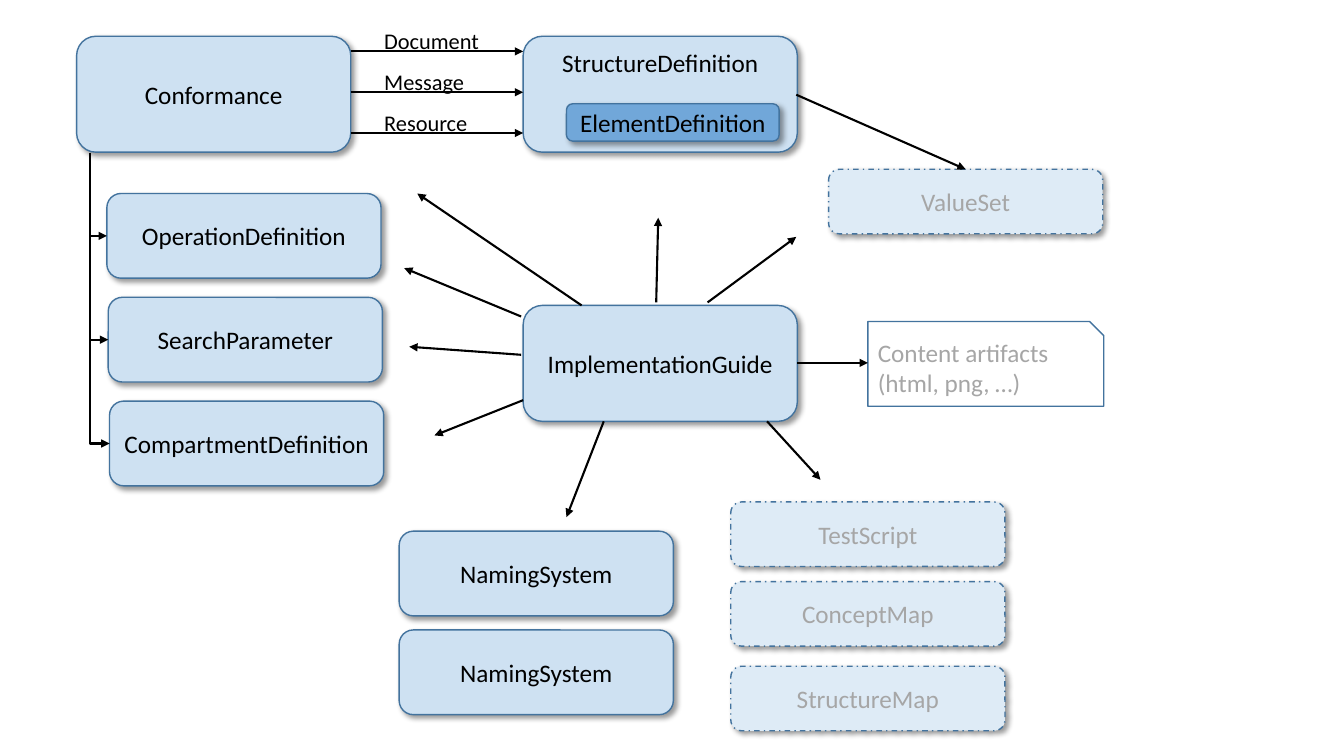
from dataclasses import dataclass

from lxml.etree import SubElement
from pptx import Presentation
from pptx.dml.color import RGBColor
from pptx.enum.dml import MSO_LINE
from pptx.enum.shapes import MSO_CONNECTOR as LINK, MSO_SHAPE as SHAPE
from pptx.enum.text import MSO_ANCHOR as ANCHOR, PP_ALIGN as ALIGN
from pptx.oxml.ns import qn
from pptx.util import Inches, Pt

COLUMNS, ROWS = 40, 30
SLIDE_W, SLIDE_H = Inches(13.33), Inches(7.5)
FONT = "Calibri"
INK, MUTED, EDGE = "000000", "A6A6A6", "43739E"
CORE, NESTED, EXTERNAL = "CEE1F2", "71A7D9", "DEEBF6"
CARD_W, CARD_H, HUB_H, EXTERNAL_H = 8.16, 3.36, 4.6, 2.56


@dataclass
class Box:
    """An area measured in grid columns and rows."""
    left: float
    top: float
    width: float
    height: float

    def inner(self, x, y, width, height):
        """Return a box offset from this one's top left corner."""
        return Box(self.left + x, self.top + y, width, height)

    def point(self, x, y):
        """Return the grid point offset from the top left corner."""
        return self.left + x, self.top + y

    def emu(self):
        """Return the box in slide units."""
        return (*to_emu(self.left, self.top), *to_emu(self.width, self.height))


def to_emu(x, y):
    """Turn columns and rows into slide units."""
    return round(x * SLIDE_W / COLUMNS), round(y * SLIDE_H / ROWS)


def color(hex_code):
    """Turn a hex string into a colour."""
    return RGBColor.from_string(hex_code)


def write(frame, lines, size, ink, align):
    """Fill a text frame with one paragraph per line."""
    frame.text = "\n".join(lines)
    for paragraph in frame.paragraphs:
        paragraph.alignment = align
        paragraph.font.name, paragraph.font.size = FONT, Pt(size)
        paragraph.font.color.rgb = color(ink)


def cast_shadow(shape):
    """Give a shape a soft shadow to the lower right."""
    effects = shape.element.spPr.find(qn("a:effectLst"))
    shadow = SubElement(effects, qn("a:outerShdw"), blurRad=str(Pt(4)), dist=str(Pt(3)),
                        dir=str(45 * 60000), algn="tl", rotWithShape="0")
    tint = SubElement(shadow, qn("a:srgbClr"), val=INK)
    SubElement(tint, qn("a:alpha"), val="40000")


def outlined(slide, box, kind):
    """Add a shape with the common outline and no theme shadow."""
    shape = slide.shapes.add_shape(kind, *box.emu())
    shape.shadow.inherit = False
    shape.line.color.rgb, shape.line.width = color(EDGE), Pt(1)
    return shape


def card(slide, box, name, fill=CORE, anchor=ANCHOR.MIDDLE):
    """Draw a resource card; external ones are muted and dashed."""
    shape = outlined(slide, box, SHAPE.ROUNDED_RECTANGLE)
    shape.fill.solid()
    shape.fill.fore_color.rgb = color(fill)
    if fill == EXTERNAL:
        shape.line.dash_style = MSO_LINE.DASH_DOT
    cast_shadow(shape)
    shape.text_frame.vertical_anchor = anchor
    write(shape.text_frame, [name], 18, MUTED if fill == EXTERNAL else INK, ALIGN.CENTER)


def arrow(slide, start, end, kind=LINK.STRAIGHT):
    """Draw an arrow between two grid points."""
    link = slide.shapes.add_connector(kind, *to_emu(*start), *to_emu(*end))
    link.line.color.rgb, link.line.width = color(INK), Pt(1.5)
    SubElement(link.element.spPr.find(qn("a:ln")), qn("a:tailEnd"), type="triangle")
    SubElement(link.element.spPr, qn("a:effectLst"))
    return link


def branch(slide, start, end):
    """Draw an arrow that runs down and then turns right."""
    link = arrow(slide, start, end, LINK.ELBOW)
    left, top, width, height = link.left, link.top, link.width, link.height
    link.left, link.top = left + (width - height) // 2, top + (height - width) // 2
    link.width, link.height = height, width
    frame = link.element.spPr.find(qn("a:xfrm"))
    frame.set("rot", str(270 * 60000))
    frame.set("flipH", "1")
    link.element.spPr.find(qn("a:prstGeom")).set("prst", "bentConnector2")


def conformance(slide, box):
    """Draw Conformance, StructureDefinition and the arrows between them."""
    structure = box.inner(box.width - CARD_W, 0, CARD_W, box.height)
    card(slide, box.inner(0, 0, CARD_W, box.height), "Conformance")
    card(slide, structure, "StructureDefinition", anchor=ANCHOR.TOP)
    card(slide, structure.inner(1.29, 2.68, 6.33, 1.48), "ElementDefinition", NESTED)
    for index, use in enumerate(["Document", "Message", "Resource"]):
        y = 0.6 + 1.62 * index
        arrow(slide, box.point(CARD_W, y), structure.point(0, y))
        label = slide.shapes.add_textbox(*box.inner(CARD_W + 0.7, y - 1.16, 3.45, 1.48).emu())
        label.text_frame.word_wrap = False
        write(label.text_frame, [use], 16, INK, ALIGN.LEFT)


def definitions(slide, box):
    """Draw the definition cards that branch off Conformance."""
    step = (box.height - CARD_H) / 2
    trunk = box.point(-0.5, -1.62)
    names = ["OperationDefinition", "SearchParameter", "CompartmentDefinition"]
    for index, name in enumerate(names):
        x, y = 0.04 * index, step * index
        card(slide, box.inner(x, y, CARD_W, CARD_H), name)
        middle = y + CARD_H / 2
        branch(slide, trunk, box.point(x, middle))
        trunk = box.point(-0.5, middle)


def value_set(slide, box):
    """Draw ValueSet and the arrow that reaches it."""
    card(slide, box, "ValueSet", EXTERNAL)
    arrow(slide, box.point(-0.96, -2.96), box.point(box.width / 2, 0))


def guide(slide, box):
    """Draw ImplementationGuide, its rays and the content artifacts."""
    card(slide, box, "ImplementationGuide")
    artifacts = outlined(slide, box.inner(10.26, 0.64, 7.02, CARD_H), SHAPE.SNIP_1_RECTANGLE)
    artifacts.fill.background()
    artifacts.text_frame.vertical_anchor = ANCHOR.MIDDLE
    write(artifacts.text_frame, ["Content artifacts", "(html, png, …)"], 18, MUTED, ALIGN.LEFT)
    rays = [
        ((1.74, 0), (-3.15, -4.44)),
        ((-0.06, 0.44), (-3.54, -1.48)),
        ((-0.06, 1.96), (-3.39, 1.64)),
        ((0, 3.76), (-2.64, 5.16)),
        ((2.4, 4.6), (1.29, 8.4)),
        ((7.26, 4.6), (8.85, 6.92)),
        ((8.16, 2.28), (10.26, 2.28)),
        ((5.49, -0.12), (8.13, -2.72)),
        ((3.96, -0.12), (4.02, -3.48)),
    ]
    for start, end in rays:
        arrow(slide, box.point(*start), box.point(*end))


def stack(slide, box, tops, height, fill):
    """Draw a column of cards from their names and top offsets."""
    for name, top in tops:
        card(slide, box.inner(0, top, box.width, height), name, fill)


def main():
    """Build the resource map and save it."""
    deck = Presentation()
    deck.slide_width, deck.slide_height = SLIDE_W, SLIDE_H
    slide = deck.slides.add_slide(deck.slide_layouts[6])
    conformance(slide, Box(2.28, 1.44, 21.45, HUB_H))
    definitions(slide, Box(3.18, 7.68, 8.24, 11.6))
    value_set(slide, Box(24.66, 6.72, CARD_W, EXTERNAL_H))
    guide(slide, Box(15.57, 12.12, CARD_W, HUB_H))
    stack(slide, Box(11.88, 21.08, CARD_W, 7.28),
          [("NamingSystem", 0), ("NamingSystem", 3.92)], CARD_H, CORE)
    stack(slide, Box(21.75, 19.92, CARD_W, 9.08),
          [("TestScript", 0), ("ConceptMap", 3.16), ("StructureMap", 6.52)],
          EXTERNAL_H, EXTERNAL)
    deck.save("out.pptx")


main()
